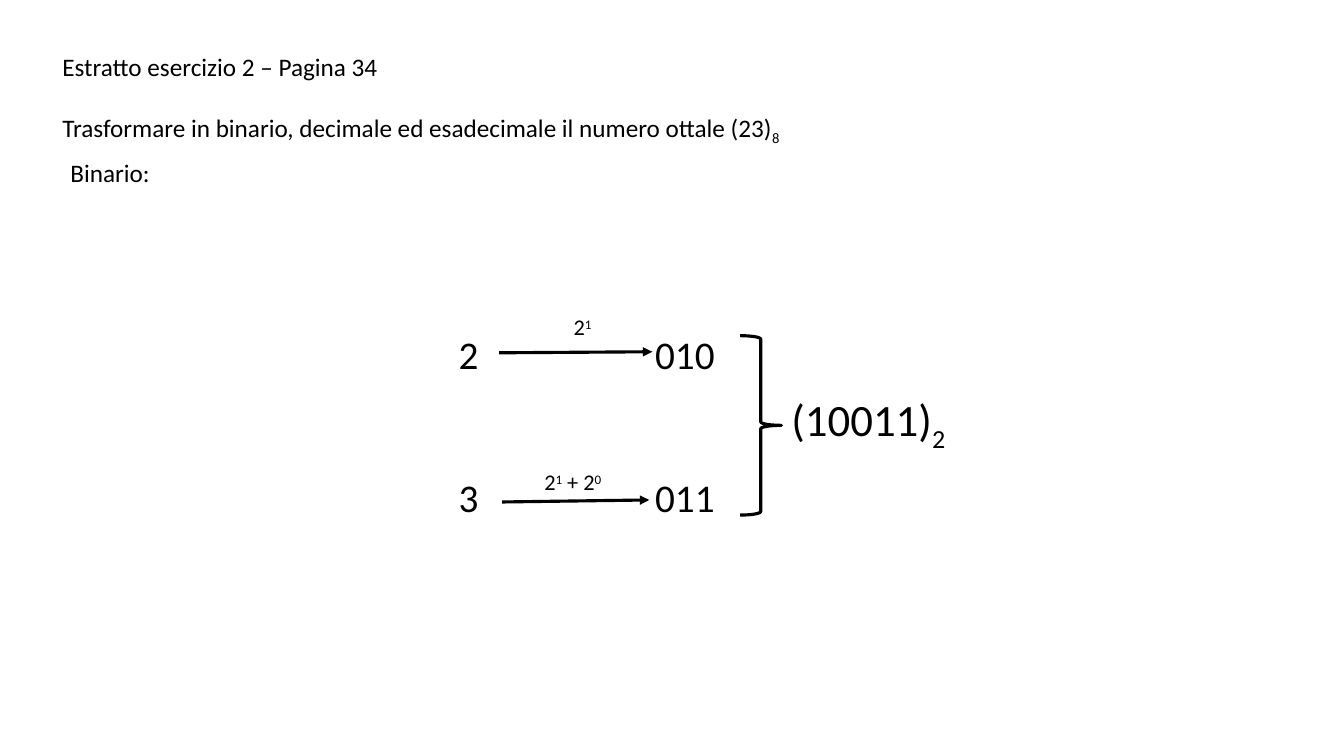
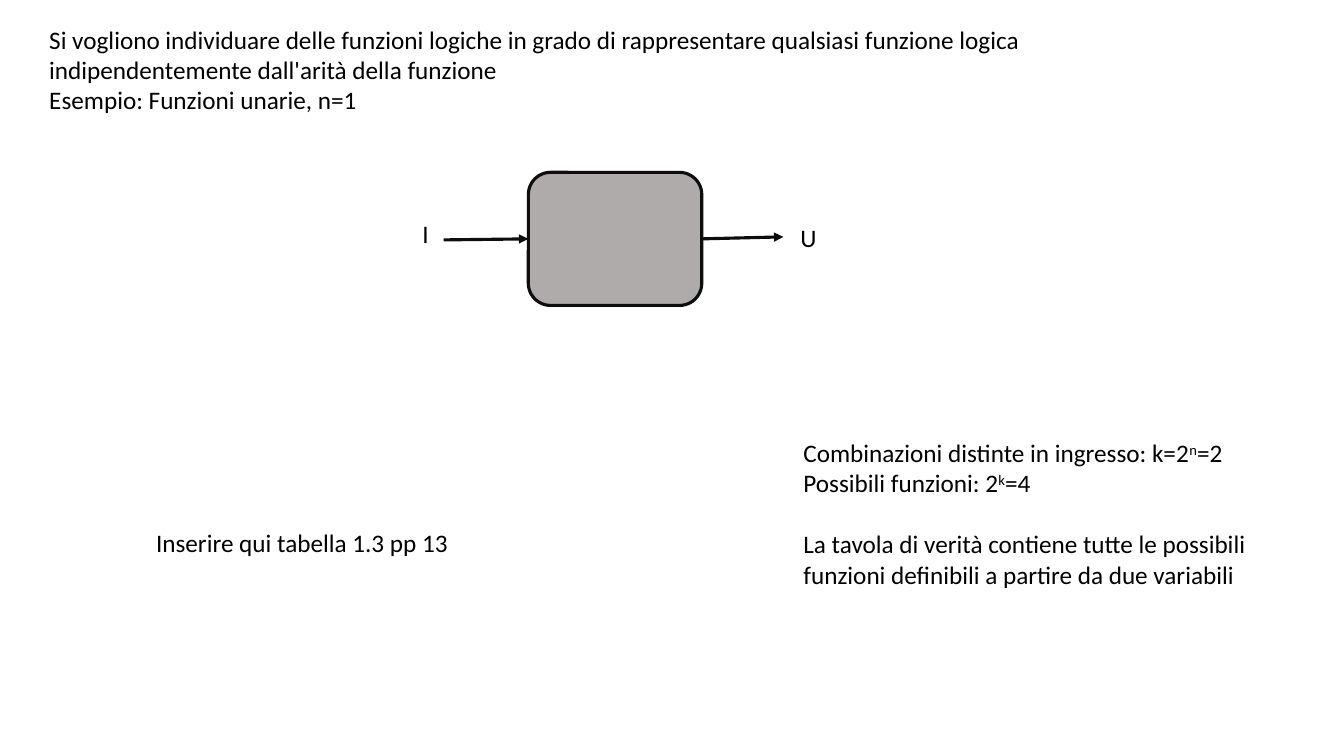
from dataclasses import dataclass

from lxml.etree import SubElement
from pptx import Presentation
from pptx.dml.color import RGBColor
from pptx.enum.shapes import MSO_CONNECTOR, MSO_SHAPE
from pptx.oxml.ns import qn
from pptx.shapes.autoshape import Shape
from pptx.shapes.connector import Connector
from pptx.slide import Slide
from pptx.util import Emu, Pt

PX = 9144  # EMU in one px, at 100 px to the inch


@dataclass(frozen=True)
class Theme:
    font: str = "Calibri"
    ink: str = "000000"
    outline: str = "0D0D0D"
    gate: str = "AFABAB"
    label: int = 16
    body: int = 18
    digits: int = 28
    result: int = 32
    stroke: float = 2.25
    blank_line: int = 22  # space that separates blocks of body text


THEME = Theme()


@dataclass(frozen=True)
class Span:
    text: str
    baseline: int = 0  # percent of the type size


@dataclass(frozen=True)
class Para:
    spans: tuple[Span, ...]
    before: int = 0


@dataclass(frozen=True)
class Conversion:
    top: int
    octal: str
    binary: str
    arrow: tuple[int, int, int, int]
    label_at: tuple[int, int, int, int]
    label: Para


def px(length: int) -> Emu:
    return Emu(length * PX)


def plain(text: str, before: int = 0) -> Para:
    return Para((Span(text),), before)


def sup(text: str) -> Span:
    return Span(text, 30)


def sub(text: str) -> Span:
    return Span(text, -25)


def add_text(page: Slide, at: tuple[int, int, int, int], *paras: Para,
             size: int = THEME.body, color: str = THEME.ink) -> Shape:
    box = page.shapes.add_textbox(*map(px, at))
    frame = box.text_frame
    frame.word_wrap = True
    for index, para in enumerate(paras):
        paragraph = frame.add_paragraph() if index else frame.paragraphs[0]
        if para.before:
            paragraph.space_before = Pt(para.before)
        for span in para.spans:
            run = paragraph.add_run()
            run.text = span.text
            run.font.name = THEME.font
            run.font.size = Pt(size)
            run.font.color.rgb = RGBColor.from_string(color)
            if span.baseline:
                run._r.get_or_add_rPr().set("baseline", str(span.baseline * 1000))
    return box


def set_line(item: Shape | Connector, color: str) -> None:
    item.line.color.rgb = RGBColor.from_string(color)
    item.line.width = Pt(THEME.stroke)


def add_outlined(page: Slide, kind: MSO_SHAPE, at: tuple[int, int, int, int],
                 color: str, fill: str | None = None) -> Shape:
    shape = page.shapes.add_shape(kind, *map(px, at))
    shape.shadow.inherit = False
    if fill:
        shape.fill.solid()
        shape.fill.fore_color.rgb = RGBColor.from_string(fill)
    else:
        shape.fill.background()
    set_line(shape, color)
    return shape


def add_arrow(page: Slide, ends: tuple[int, int, int, int], color: str) -> Connector:
    arrow = page.shapes.add_connector(MSO_CONNECTOR.STRAIGHT, *map(px, ends))
    set_line(arrow, color)
    SubElement(arrow.line._get_or_add_ln(), qn("a:tailEnd"), type="triangle")
    SubElement(arrow._element.spPr, qn("a:effectLst"))
    return arrow


CONVERSIONS = (
    Conversion(323, "2", "010", (495, 350, 647, 349), (559, 306, 88, 37),
               Para((Span("2"), sup("1")))),
    Conversion(465, "3", "011", (498, 498, 644, 496), (530, 460, 101, 37),
               Para((Span("2"), sup("1"), Span(" + 2"), sup("0")))),
)


def build_conversion(page: Slide) -> None:
    # Exercise text
    add_text(page, (52, 46, 1230, 101),
             plain("Estratto esercizio 2 – Pagina 34"),
             Para((Span("Trasformare in binario, decimale ed esadecimale "
                        "il numero ottale (23)"), sub("8")), THEME.blank_line))
    add_text(page, (60, 151, 300, 40), plain("Binario:"))

    # Octal digits and their binary groups
    for row in CONVERSIONS:
        add_text(page, (445, row.top, 45, 57), plain(row.octal), size=THEME.digits)
        add_text(page, (640, row.top, 90, 57), plain(row.binary), size=THEME.digits)
        add_arrow(page, row.arrow, THEME.ink)
        add_text(page, row.label_at, row.label, size=THEME.label)

    # Result
    add_outlined(page, MSO_SHAPE.RIGHT_BRACE, (734, 333, 41, 178), THEME.ink)
    add_text(page, (775, 384, 300, 64), Para((Span("(10011)"), sub("2"))),
             size=THEME.result)


def build_functions(page: Slide) -> None:
    # Introduction
    add_text(page, (39, 19, 1187, 101),
             plain("Si vogliono individuare delle funzioni logiche in grado di "
                   "rappresentare qualsiasi funzione logica indipendentemente "
                   "dall'arità della funzione"),
             plain("Esempio: Funzioni unarie, n=1"))

    # Gate with input and output
    gate = add_outlined(page, MSO_SHAPE.ROUNDED_RECTANGLE, (524, 171, 172, 132),
                        THEME.outline, THEME.gate)
    add_text(page, (409, 212, 40, 40), plain("I"))
    add_text(page, (784, 216, 161, 40), plain("U"))
    add_arrow(page, (440, 238, 524, 237), THEME.outline).end_connect(gate, 1)
    add_arrow(page, (696, 237, 777, 235), THEME.outline).begin_connect(gate, 3)

    # Truth table notes
    add_text(page, (145, 518, 317, 40), plain("Inserire qui tabella 1.3 pp 13"))
    add_text(page, (787, 429, 500, 162),
             Para((Span("Combinazioni distinte in ingresso: k=2"), sup("n"),
                   Span("=2"))),
             Para((Span("Possibili funzioni: 2"), sup("k"), Span("=4"))),
             plain("La tavola di verità contiene tutte le possibili funzioni "
                   "definibili a partire da due variabili", THEME.blank_line))


def main() -> None:
    deck = Presentation()
    deck.slide_width, deck.slide_height = px(1333), px(750)
    for build in (build_conversion, build_functions):
        build(deck.slides.add_slide(deck.slide_layouts[6]))
    deck.save("out.pptx")


if __name__ == "__main__":
    main()
